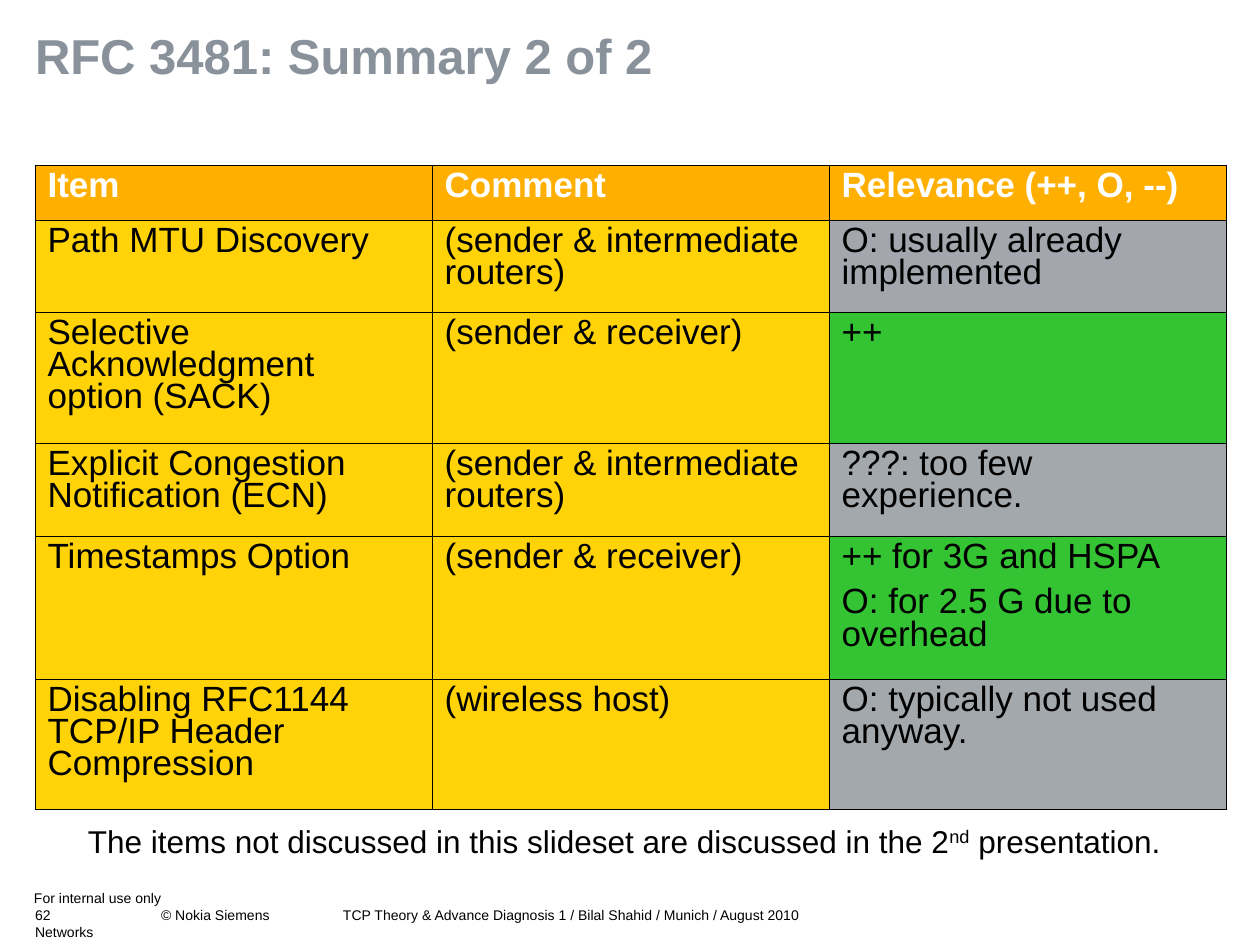
from lxml.etree import SubElement
from pptx import Presentation
from pptx.dml.color import RGBColor
from pptx.enum.text import MSO_ANCHOR as Anchor, MSO_AUTO_SIZE as AutoSize, PP_ALIGN as Align
from pptx.oxml import parse_xml
from pptx.oxml.ns import nsdecls, qn
from pptx.util import Emu, Pt

SCALE = 914400 / 126
BLACK = RGBColor(0x00, 0x00, 0x00)
WHITE = RGBColor(0xFF, 0xFF, 0xFF)
TITLE_GRAY = RGBColor(0x89, 0x92, 0x9B)
ORANGE = RGBColor(0xFF, 0xAF, 0x00)
YELLOW = RGBColor(0xFF, 0xD3, 0x08)
COOL_GRAY = RGBColor(0xA3, 0xA6, 0xAD)
GRAY = RGBColor(0xA3, 0xA8, 0xAD)
GREEN = RGBColor(0x34, 0xC3, 0x33)

HEADER = ["Item", "Comment", "Relevance (++, O, --)"]
ROUTERS = "(sender & intermediate routers)"
RECEIVER = "(sender & receiver)"
ITEMS = [
    ("Path MTU Discovery", ROUTERS, "O: usually already implemented", COOL_GRAY),
    ("Selective Acknowledgment option (SACK)", RECEIVER, "++", GREEN),
    ("Explicit Congestion Notification (ECN)", ROUTERS, "???: too few experience.", GRAY),
    ("Timestamps Option", RECEIVER, "++ for 3G and HSPA\nO: for 2.5 G due to overhead", GREEN),
    ("Disabling RFC1144 TCP/IP Header Compression", "(wireless host)",
     "O: typically not used anyway.", GRAY),
]
ROW_HEIGHTS = [55, 92, 131, 93, 143, 131]
COLUMN_WIDTH = 397
OUTER_LINE, INNER_LINE = Pt(0.5), Pt(0.23)


def px(length):
    return Emu(round(length * SCALE))


class SlideBuilder:
    font_name = "Arial"

    def __init__(self, presentation):
        self.slide = presentation.slides.add_slide(presentation.slide_layouts[5])

    def place(self, shape, left, top, width, height):
        shape.left, shape.top, shape.width, shape.height = map(px, (left, top, width, height))

    def format(self, paragraph, size, color, bold=False, spacing=None, tab=None):
        paragraph.alignment = Align.LEFT
        if spacing:
            paragraph.line_spacing = spacing
        if tab:
            tabs = SubElement(paragraph._p.get_or_add_pPr(), qn("a:tabLst"))
            SubElement(tabs, qn("a:tab"), pos=str(px(tab)), algn="l")
        font = paragraph.font
        font.name, font.size, font.bold = self.font_name, Pt(size), bold
        font.color.rgb = color

    def set_frame(self, frame, margin_x=0, margin_y=0, wrap=True):
        frame.margin_left = frame.margin_right = px(margin_x)
        frame.margin_top = frame.margin_bottom = px(margin_y)
        frame.vertical_anchor = Anchor.TOP
        frame.auto_size = AutoSize.NONE
        frame.word_wrap = wrap

    def title(self, text, *box):
        shape = self.slide.shapes.title
        self.place(shape, *box)
        self.set_frame(shape.text_frame)
        shape.text_frame.text = text
        self.format(shape.text_frame.paragraphs[0], 28, TITLE_GRAY, bold=True, spacing=0.9)

    def footer(self, text, *box, tab=None):
        frame = self.slide.shapes.add_textbox(*map(px, box)).text_frame
        self.set_frame(frame)
        frame.text = text
        self.format(frame.paragraphs[0], 8, BLACK, tab=tab)

    def note(self, before, superscript, after, *box):
        frame = self.slide.shapes.add_textbox(*map(px, box)).text_frame
        self.set_frame(frame, 12, 6, wrap=False)
        paragraph = frame.paragraphs[0]
        for text in (before, superscript, after):
            run = paragraph.add_run()
            run.text = text
            if text == superscript:
                run._r.get_or_add_rPr().set("baseline", "30000")
        self.format(paragraph, 18, BLACK, spacing=0.9)

    def cell(self, cell, text, fill, color, bold, outer_sides):
        cell.fill.solid()
        cell.fill.fore_color.rgb = fill
        cell.text = text
        for index, paragraph in enumerate(cell.text_frame.paragraphs):
            if index:
                paragraph.space_before = Pt(7.5)
            self.format(paragraph, 20, color, bold, spacing=0.83)
        properties = cell._tc.get_or_add_tcPr()
        for index, side in enumerate("LRTB"):
            width = OUTER_LINE if side in outer_sides else INNER_LINE
            properties.insert(index, parse_xml(
                f'<a:ln{side} {nsdecls("a")} w="{width}"><a:solidFill>'
                f'<a:srgbClr val="{BLACK}"/></a:solidFill></a:ln{side}>'))

    def table(self, left, top):
        rows, columns = len(ROW_HEIGHTS), len(HEADER)
        table = self.slide.shapes.add_table(
            rows, columns, px(left), px(top),
            px(columns * COLUMN_WIDTH), px(sum(ROW_HEIGHTS))).table
        table.horz_banding = False
        for column in table.columns:
            column.width = px(COLUMN_WIDTH)
        for row, height in zip(table.rows, ROW_HEIGHTS):
            row.height = px(height)
        for row, (*texts, relevance_fill) in enumerate([(*HEADER, ORANGE), *ITEMS]):
            is_header = row == 0
            fills = [ORANGE if is_header else YELLOW] * 2 + [relevance_fill]
            for column, (text, fill) in enumerate(zip(texts, fills)):
                edges = {"L": column == 0, "R": column == columns - 1,
                         "T": is_header, "B": row == rows - 1}
                outer_sides = [side for side, is_outer in edges.items() if is_outer]
                self.cell(table.cell(row, column), text, fill,
                          WHITE if is_header else BLACK, is_header, outer_sides)


def main():
    presentation = Presentation()
    presentation.slide_width, presentation.slide_height = px(1260), px(945)
    builder = SlideBuilder(presentation)
    builder.footer("For internal use only", 34, 890, 420, 19)
    builder.footer("62\t© Nokia Siemens Networks", 35, 907, 293, 34, tab=126)
    builder.footer("TCP Theory & Advance Diagnosis 1 / Bilal Shahid / Munich / August 2010",
                   343, 907, 525, 17)
    builder.title("RFC 3481: Summary 2 of 2", 35, 32, 1190, 113)
    builder.table(35, 165)
    builder.note("The items not discussed in this slideset are discussed in the 2",
                 "nd", " presentation.", 76, 820, 1097, 47)
    presentation.save("out.pptx")


if __name__ == "__main__":
    main()
